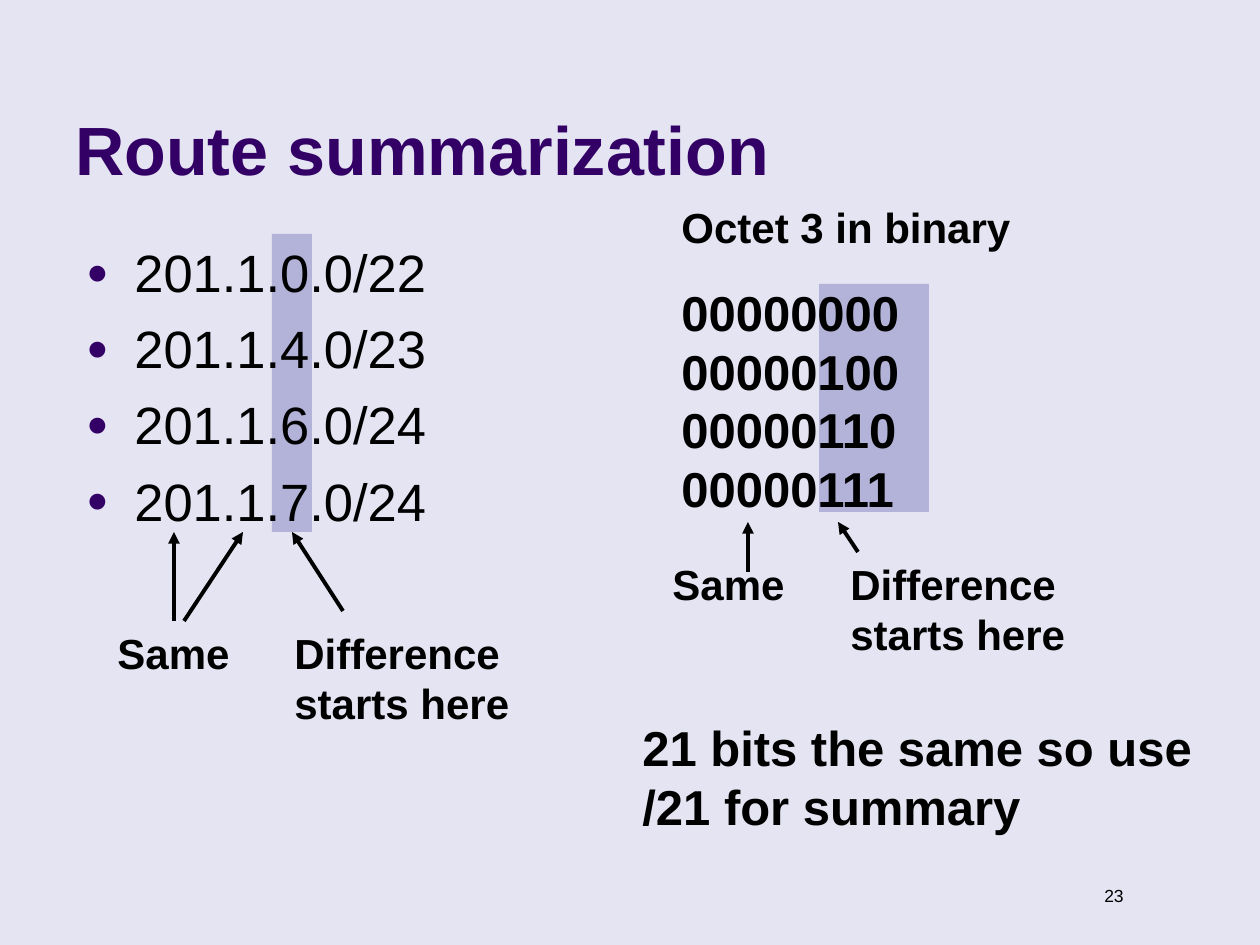
"""Build the route summarization slide."""
from dataclasses import dataclass
from typing import Optional

from lxml import etree
from pptx import Presentation
from pptx.dml.color import RGBColor
from pptx.enum.shapes import MSO_CONNECTOR, MSO_SHAPE
from pptx.enum.text import MSO_ANCHOR, PP_ALIGN
from pptx.oxml.ns import qn
from pptx.util import Emu, Pt

PX = 914400 / 126
RECT, STRAIGHT = MSO_SHAPE.RECTANGLE, MSO_CONNECTOR.STRAIGHT
TOP, BOTTOM = MSO_ANCHOR.TOP, MSO_ANCHOR.BOTTOM
LEFT, RIGHT = PP_ALIGN.LEFT, PP_ALIGN.RIGHT
FONT, BLACK, PURPLE, LILAC, PAPER = "Arial", "000000", "330066", "B3B3D9", "E4E4F2"


@dataclass
class Para:
    text: str
    size: int = 24
    before: float = 15
    bold: bool = True
    color: str = BLACK
    align: PP_ALIGN = LEFT
    bullet: bool = False


@dataclass
class Label:
    box: tuple[int, int, int, int]
    paras: list[Para]
    anchor: MSO_ANCHOR = TOP


@dataclass
class Arrow:
    start: tuple[int, int]
    end: tuple[int, int]
    target: Optional[int] = None


HIGHLIGHTS = [(819, 284, 110, 228), (272, 234, 40, 298)]
ADDRESSES = ["201.1.0.0/22", "201.1.4.0/23", "201.1.6.0/24", "201.1.7.0/24"]
OCTETS = "\n".join(f"{n:08b}" for n in (0, 4, 6, 7))
SAME, DIFFERENCE = Para("Same"), Para("Difference starts here")

LABELS = [
    Label((1057, 879, 79, 34), [Para("23", 10, 6.2, False, align=RIGHT)]),
    Label((63, 16, 1040, 179), [Para("Route summarization", 39, 0, color=PURPLE)], BOTTOM),
    Label((74, 234, 427, 318), [Para(a, 30, 7.5, False, bullet=True) for a in ADDRESSES]),
    Label((105, 621, 169, 63), [SAME]),
    Label((282, 621, 307, 113), [DIFFERENCE]),
    Label((669, 195, 496, 329), [Para("Octet 3 in binary"), Para(OCTETS, 28, 17.5)]),
    Label((660, 552, 169, 63), [SAME]),
    Label((838, 552, 338, 113), [DIFFERENCE]),
    Label((630, 711, 576, 131), [Para("21 bits the same so use /21 for summary", 28, 17.5)]),
]
ARROWS = [
    Arrow((174, 621), (174, 532)),
    Arrow((184, 621), (243, 532)),
    Arrow((343, 611), (292, 532), target=1),
    Arrow((748, 572), (748, 522)),
    Arrow((858, 552), (838, 522)),
]


def px(n: int) -> Emu:
    """Turn pixels into EMU."""
    return Emu(round(n * PX))


def rgb(color: str) -> RGBColor:
    """Turn a hex string into a colour."""
    return RGBColor.from_string(color)


def add_highlight(s, box: tuple[int, int, int, int]):
    """Draw a plain filled rectangle and return it."""
    sp = s.shapes.add_shape(RECT, *map(px, box))
    sp.shadow.inherit = False
    sp.fill.solid()
    sp.fill.fore_color.rgb = rgb(LILAC)
    sp.line.fill.background()
    return sp


def add_bullet(p) -> None:
    """Give a paragraph a hanging round bullet."""
    pPr = p._p.get_or_add_pPr()
    pPr.set("marL", str(px(48)))
    pPr.set("indent", str(-px(48)))
    color = etree.SubElement(pPr, qn("a:buClr"))
    etree.SubElement(color, qn("a:srgbClr"), val=PURPLE)
    etree.SubElement(pPr, qn("a:buSzPct"), val="70000")
    etree.SubElement(pPr, qn("a:buFont"), typeface=FONT)
    etree.SubElement(pPr, qn("a:buChar"), char="●")


def add_label(s, label: Label) -> None:
    """Write a text box of formatted paragraphs."""
    tf = s.shapes.add_textbox(*map(px, label.box)).text_frame
    tf.word_wrap = True
    tf.vertical_anchor = label.anchor
    for i, para in enumerate(label.paras):
        p = tf.add_paragraph() if i else tf.paragraphs[0]
        p.text = para.text
        p.alignment = para.align
        p.space_before = Pt(para.before)
        if para.bullet:
            add_bullet(p)
        for r in p.runs:
            r.font.name = FONT
            r.font.size = Pt(para.size)
            r.font.bold = para.bold
            r.font.color.rgb = rgb(para.color)


def add_arrow(s, arrow: Arrow, highlights: list) -> None:
    """Draw an arrow, joined to the bottom of its target if it has one."""
    c = s.shapes.add_connector(STRAIGHT, *map(px, arrow.start + arrow.end))
    if arrow.target is not None:
        c.end_connect(highlights[arrow.target], 2)
    c.line.color.rgb = rgb(BLACK)
    c.line.width = Pt(2.25)
    etree.SubElement(c.line._get_or_add_ln(), qn("a:tailEnd"), type="triangle")
    etree.SubElement(c._element.spPr, qn("a:effectLst"))


def main() -> None:
    """Build and save the slide."""
    prs = Presentation()
    prs.slide_width, prs.slide_height = px(1260), px(945)
    s = prs.slides.add_slide(prs.slide_layouts[6])
    s.background.fill.solid()
    s.background.fill.fore_color.rgb = rgb(PAPER)
    highlights = [add_highlight(s, box) for box in HIGHLIGHTS]
    for label in LABELS:
        add_label(s, label)
    for arrow in ARROWS:
        add_arrow(s, arrow, highlights)
    prs.save("out.pptx")


if __name__ == "__main__":
    main()
